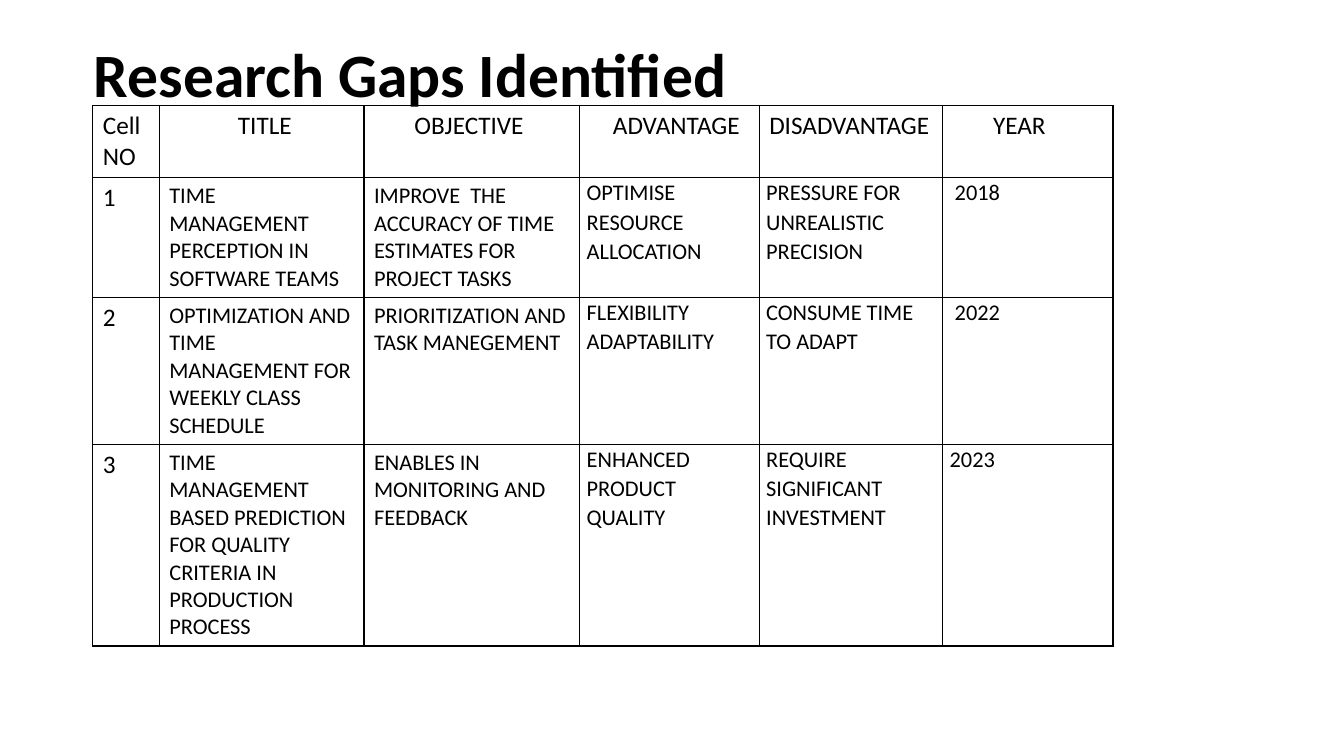
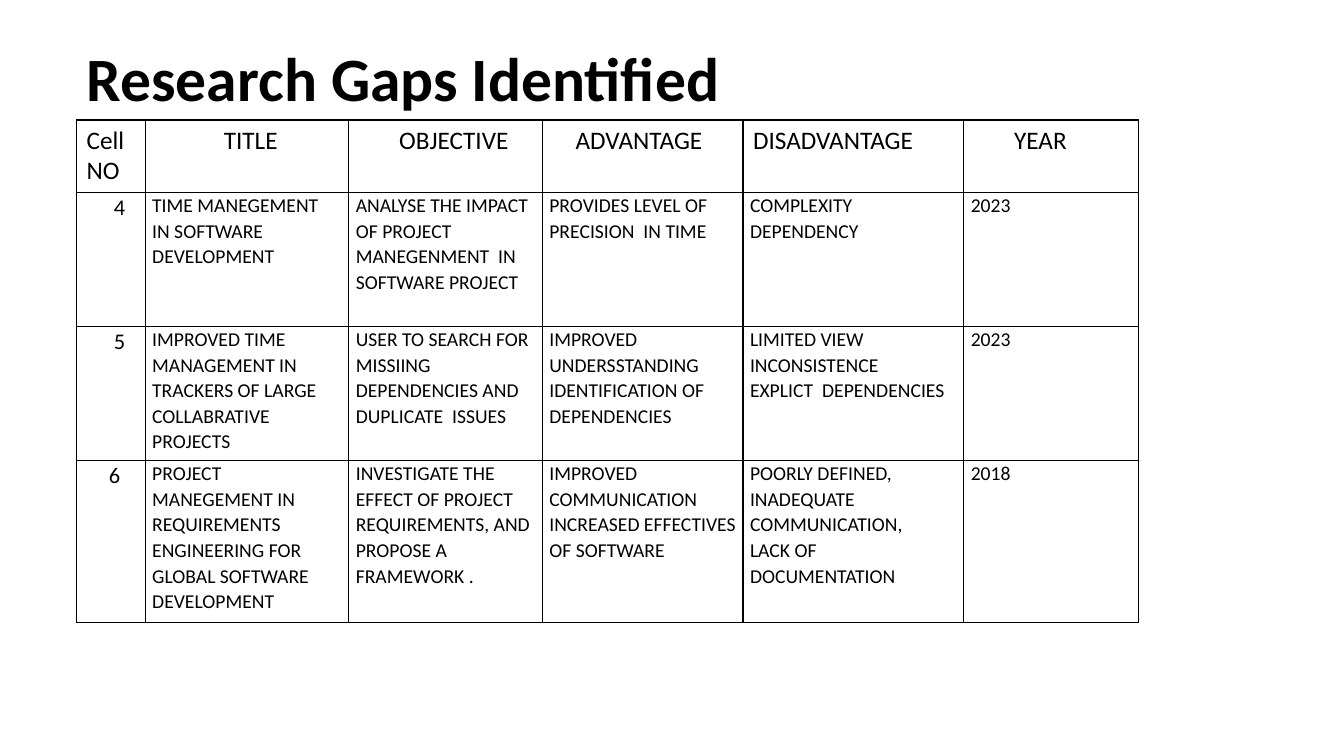
from dataclasses import dataclass
from typing import NamedTuple

from lxml.etree import SubElement
from pptx import Presentation
from pptx.dml.color import RGBColor
from pptx.enum.text import MSO_ANCHOR, PP_ALIGN
from pptx.oxml.ns import qn
from pptx.util import Inches, Pt


@dataclass(frozen=True)
class Theme:
    font: str = "Calibri"
    ink: str = "000000"
    title_size: int = 44
    header_size: int = 18
    title_spacing: float = 0.9
    tight_spacing: float = 1.07
    tight_margin: float = 0.07
    border_width: int = 1


class Indented(NamedTuple):
    text: str
    indent: float


HEADERS = [
    "Cell NO",
    Indented("TITLE", 0.68),
    Indented("OBJECTIVE", 0.4),
    Indented("ADVANTAGE", 0.23),
    "DISADVANTAGE",
    Indented("YEAR", 0.4),
]

GAPS_1_TO_3 = [
    ["1", "TIME MANAGEMENT PERCEPTION IN SOFTWARE TEAMS",
     "IMPROVE  THE ACCURACY OF TIME ESTIMATES FOR PROJECT TASKS",
     "OPTIMISE RESOURCE ALLOCATION",
     "PRESSURE FOR UNREALISTIC PRECISION", Indented("2018", 0.05)],
    ["2", "OPTIMIZATION AND TIME MANAGEMENT FOR WEEKLY CLASS SCHEDULE",
     "PRIORITIZATION AND TASK MANEGEMENT",
     "FLEXIBILITY\nADAPTABILITY",
     "CONSUME TIME TO ADAPT", Indented("2022", 0.05)],
    ["3", "TIME MANAGEMENT BASED PREDICTION FOR QUALITY CRITERIA IN "
          "PRODUCTION PROCESS",
     "ENABLES IN MONITORING AND FEEDBACK",
     "ENHANCED\nPRODUCT QUALITY",
     "REQUIRE\nSIGNIFICANT\nINVESTMENT", "2023"],
]

GAPS_4_TO_6 = [
    [Indented("4", 0.3), "TIME MANEGEMENT\nIN SOFTWARE DEVELOPMENT",
     "ANALYSE THE IMPACT OF PROJECT MANEGENMENT  IN SOFTWARE PROJECT",
     "PROVIDES LEVEL OF PRECISION  IN TIME",
     "COMPLEXITY\nDEPENDENCY", "2023"],
    [Indented("5", 0.3),
     "IMPROVED TIME MANAGEMENT IN TRACKERS OF LARGE COLLABRATIVE PROJECTS",
     "USER TO SEARCH FOR MISSIING DEPENDENCIES AND DUPLICATE  ISSUES",
     "IMPROVED UNDERSSTANDING\nIDENTIFICATION OF DEPENDENCIES",
     "LIMITED VIEW\nINCONSISTENCE\nEXPLICT  DEPENDENCIES", "2023"],
    [Indented("6", 0.25),
     "PROJECT MANEGEMENT IN REQUIREMENTS ENGINEERING FOR GLOBAL SOFTWARE "
     "DEVELOPMENT",
     "INVESTIGATE THE EFFECT OF PROJECT REQUIREMENTS, AND PROPOSE A "
     "FRAMEWORK .",
     "IMPROVED COMMUNICATION\nINCREASED EFFECTIVES OF SOFTWARE",
     "POORLY DEFINED,\nINADEQUATE\nCOMMUNICATION,\nLACK OF DOCUMENTATION",
     "2018"],
]


class Deck:
    def __init__(self, theme):
        self.theme = theme
        self.presentation = Presentation()
        self.presentation.slide_width = Inches(13.33)
        self.presentation.slide_height = Inches(7.5)
        self.slide = None

    def add_slide(self):
        title_only = self.presentation.slide_layouts[5]
        self.slide = self.presentation.slides.add_slide(title_only)

    def style(self, paragraph, size, bold=False):
        paragraph.alignment = PP_ALIGN.LEFT
        font = paragraph.font
        font.name = self.theme.font
        font.size = Pt(size)
        font.bold = bold
        font.color.rgb = RGBColor.from_string(self.theme.ink)

    def title(self, text, left, top, width, height):
        heading = self.slide.shapes.title
        heading.left, heading.top = Inches(left), Inches(top)
        heading.width, heading.height = Inches(width), Inches(height)
        heading.text_frame.text = text
        heading.text_frame.vertical_anchor = MSO_ANCHOR.MIDDLE
        paragraph = heading.text_frame.paragraphs[0]
        paragraph.line_spacing = self.theme.title_spacing
        self.style(paragraph, self.theme.title_size, bold=True)

    def table(self, left, top, widths, heights, rows,
              number_size, body_size, first_tight_column):
        """Body cells from first_tight_column on have narrow margins."""
        frame = self.slide.shapes.add_table(
            len(heights), len(widths), Inches(left), Inches(top),
            Inches(sum(widths)), Inches(sum(heights)))
        table = frame.table
        table.first_row = table.horz_banding = False
        for column, width in zip(table.columns, widths):
            column.width = Inches(width)
        for row, height in zip(table.rows, heights):
            row.height = Inches(height)
        for r, entries in enumerate([HEADERS] + rows):
            for c, entry in enumerate(entries):
                if r == 0:
                    size = self.theme.header_size
                else:
                    size = number_size if c == 0 else body_size
                tight = r > 0 and c >= first_tight_column
                self.cell(table.cell(r, c), entry, size, tight)

    def cell(self, cell, entry, size, tight):
        text, indent = entry if isinstance(entry, Indented) else (entry, 0)
        cell.text = text
        cell.fill.background()
        if tight:
            cell.margin_left = cell.margin_right = Inches(
                self.theme.tight_margin)
            cell.margin_top = cell.margin_bottom = 0
        for paragraph in cell.text_frame.paragraphs:
            self.style(paragraph, size)
            if tight:
                paragraph.line_spacing = self.theme.tight_spacing
            if indent:
                properties = paragraph._p.get_or_add_pPr()
                properties.set("marL", str(Inches(indent)))
        self.borders(cell)

    def borders(self, cell):
        properties = cell._tc.get_or_add_tcPr()
        for position, side in enumerate(("lnL", "lnR", "lnT", "lnB")):
            line = SubElement(properties, qn(f"a:{side}"),
                              w=str(Pt(self.theme.border_width)))
            fill = SubElement(line, qn("a:solidFill"))
            SubElement(fill, qn("a:srgbClr"), val=self.theme.ink)
            properties.insert(position, line)


def main():
    deck = Deck(Theme())
    heading = "Research Gaps Identified"

    deck.add_slide()
    deck.title(heading, 0.83, 0, 11.58, 1.53)
    deck.table(0.92, 1.05,
               widths=[0.66, 2.03, 2.14, 1.78, 1.82, 1.69],
               heights=[0.66, 1.1, 1.35, 1.85],
               rows=GAPS_1_TO_3, number_size=18, body_size=16,
               first_tight_column=3)

    deck.add_slide()
    deck.title(heading, 0.76, 0.08, 11.5, 1.45)
    deck.table(0.76, 1.19,
               widths=[0.68, 2.02, 1.92, 1.99, 2.19, 1.73],
               heights=[0.72, 1.33, 1.33, 1.61],
               rows=GAPS_4_TO_6, number_size=16, body_size=14,
               first_tight_column=0)

    deck.presentation.save("out.pptx")


if __name__ == "__main__":
    main()
